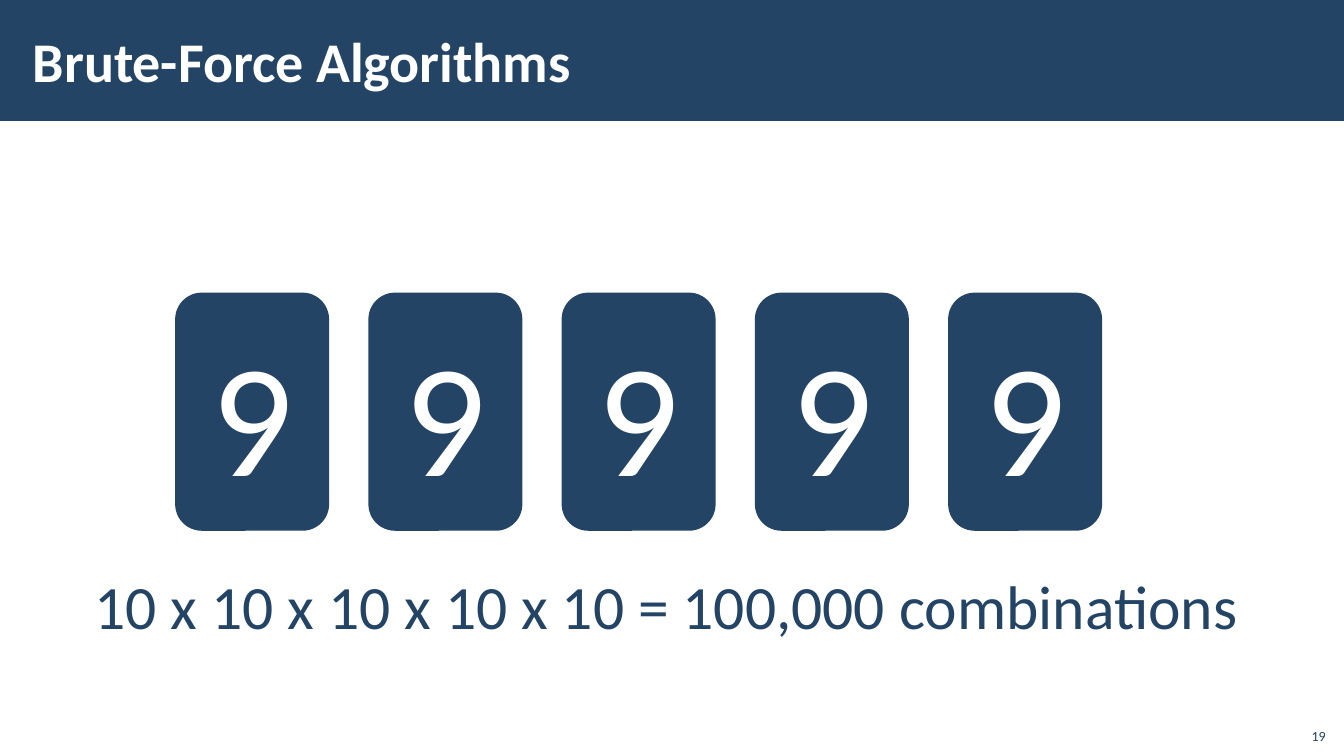
from dataclasses import dataclass

from pptx import Presentation
from pptx.dml.color import RGBColor
from pptx.enum.shapes import MSO_SHAPE
from pptx.enum.text import MSO_ANCHOR, MSO_AUTO_SIZE, PP_ALIGN
from pptx.shapes.autoshape import Shape
from pptx.slide import Slide
from pptx.util import Cm, Pt

RECTANGLE, ROUNDED = MSO_SHAPE.RECTANGLE, MSO_SHAPE.ROUNDED_RECTANGLE
TOP, MIDDLE, BOTTOM = MSO_ANCHOR.TOP, MSO_ANCHOR.MIDDLE, MSO_ANCHOR.BOTTOM
LEFT, CENTER, RIGHT = PP_ALIGN.LEFT, PP_ALIGN.CENTER, PP_ALIGN.RIGHT
FIT_SHAPE = MSO_AUTO_SIZE.SHAPE_TO_FIT_TEXT


@dataclass(frozen=True)
class Theme:
    font: str = "Calibri"
    navy: RGBColor = RGBColor(0x23, 0x44, 0x65)
    white: RGBColor = RGBColor(0xFF, 0xFF, 0xFF)
    title_size: float = 40
    digit_size: float = 115
    formula_size: float = 44
    number_size: float = 10


@dataclass(frozen=True)
class Area:
    """A place on the page, in centimetres."""
    left: float
    top: float
    width: float
    height: float

    def lengths(self) -> tuple[Cm, Cm, Cm, Cm]:
        return Cm(self.left), Cm(self.top), Cm(self.width), Cm(self.height)


THEME = Theme()
PAGE = Area(0, 0, 33.87, 19.05)
BAND = Area(0, 0, PAGE.width, 3.05)
FIRST_CARD = Area(4.45, 7.41, 3.81, 5.93)
CARD_PITCH = 4.87
DIGITS = "99999"


def write(box: Shape, text: str, *, size: float, color: RGBColor,
          bold: bool = False, align: PP_ALIGN = LEFT,
          anchor: MSO_ANCHOR = TOP, wrap: bool = True,
          inset_x: float = 0.25, inset_y: float = 0.13) -> None:
    """Put one formatted line of text into a shape."""
    frame = box.text_frame
    frame.word_wrap = wrap
    frame.vertical_anchor = anchor
    frame.margin_left = frame.margin_right = Cm(inset_x)
    frame.margin_top = frame.margin_bottom = Cm(inset_y)
    para = frame.paragraphs[0]
    para.alignment = align
    span = para.add_run()
    span.text = text
    span.font.name = THEME.font
    span.font.size = Pt(size)
    span.font.bold = bold
    span.font.color.rgb = color


def add_panel(page: Slide, kind: MSO_SHAPE, area: Area,
              line_width: float = 0) -> Shape:
    """Draw a navy shape, outlined when a line width is given."""
    panel = page.shapes.add_shape(kind, *area.lengths())
    panel.shadow.inherit = False
    panel.fill.solid()
    panel.fill.fore_color.rgb = THEME.navy
    if line_width:
        panel.line.color.rgb = THEME.navy
        panel.line.width = Pt(line_width)
    else:
        panel.line.fill.background()
    return panel


def add_label(page: Slide, area: Area) -> Shape:
    return page.shapes.add_textbox(*area.lengths())


def add_card(page: Slide, position: int, digit: str) -> None:
    """Draw one digit card in the row."""
    area = Area(FIRST_CARD.left + position * CARD_PITCH, FIRST_CARD.top,
                FIRST_CARD.width, FIRST_CARD.height)
    card = add_panel(page, ROUNDED, area, line_width=2)
    write(card, digit, size=THEME.digit_size, color=THEME.white,
          align=CENTER, anchor=MIDDLE)


def main() -> None:
    deck = Presentation()
    deck.slide_width, deck.slide_height = Cm(PAGE.width), Cm(PAGE.height)
    page = deck.slides.add_slide(deck.slide_layouts[6])

    # Title band
    add_panel(page, RECTANGLE, BAND)
    title = add_label(page, Area(0.53, 0.28, 26.42, 2.46))
    write(title, "Brute-Force Algorithms", size=THEME.title_size,
          color=THEME.white, bold=True, anchor=MIDDLE,
          inset_x=0.3, inset_y=0.1)

    # Digit cards
    for position, digit in enumerate(DIGITS):
        add_card(page, position, digit)

    # Number of combinations
    formula = add_label(page, Area(2.13, 14.17, 29.62, 2.13))
    write(formula, "10 x 10 x 10 x 10 x 10 = 100,000 combinations",
          size=THEME.formula_size, color=THEME.navy, wrap=False)
    formula.text_frame.auto_size = FIT_SHAPE

    # Page number
    number = add_label(page, Area(32.64, 18.08, 1.02, 0.81))
    write(number, "19", size=THEME.number_size, color=THEME.navy,
          align=RIGHT, anchor=BOTTOM)

    deck.save("out.pptx")


if __name__ == "__main__":
    main()
